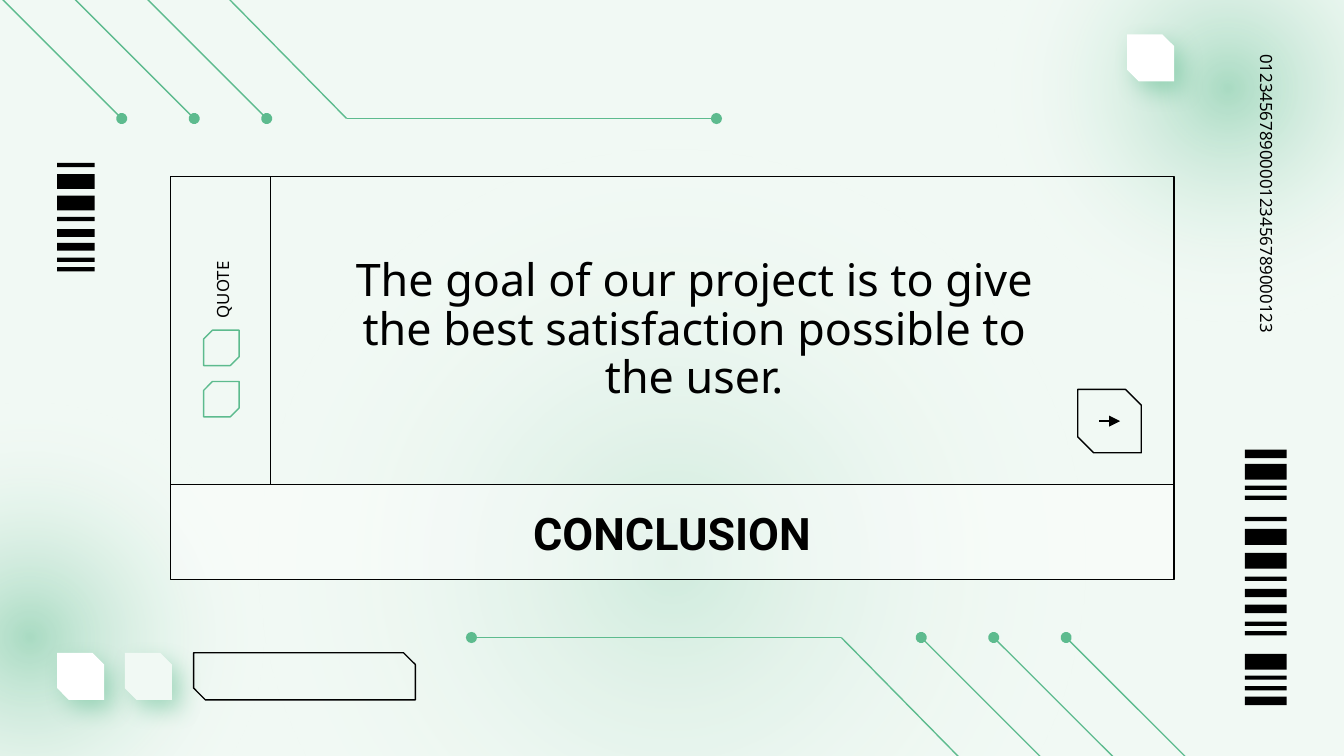
from lxml.etree import SubElement
from pptx import Presentation
from pptx.dml.color import RGBColor
from pptx.enum.shapes import MSO_CONNECTOR, MSO_SHAPE
from pptx.enum.text import MSO_ANCHOR, PP_ALIGN
from pptx.oxml import parse_xml
from pptx.oxml.ns import nsdecls, qn
from pptx.util import Cm, Pt

GREEN = RGBColor(0x5D, 0xBB, 0x8E)
MINT = RGBColor(0xF1, 0xF9, 0xF4)
WHITE = RGBColor(0xFF, 0xFF, 0xFF)
BLACK = RGBColor(0, 0, 0)

# All lengths below are in centimetres.
WIDTH, HEIGHT = 25.4, 14.29

# left, top, diameter, opacity of the centre in percent
GLOWS = [(4.85, 2.79, 15.7, 22), (18.77, -2.77, 8.84, 48), (-3.86, 7.62, 8.84, 48)]

# left, bar width, then (top, thickness) of each bar
BARCODES = [
    (23.53, 0.79, [
        (8.5, 0.16), (8.77, 0.3), (9.18, 0.08), (9.37, 0.08), (9.77, 0.08),
        (10, 0.3), (10.45, 0.3), (10.9, 0.08), (11.13, 0.16), (11.43, 0.16),
        (11.75, 0.08), (11.93, 0.08), (12.36, 0.3), (12.77, 0.08),
        (12.97, 0.08), (13.17, 0.16)]),
    (1.08, 0.71, [
        (3.08, 0.08), (3.29, 0.28), (3.7, 0.28), (4.1, 0.08),
        (4.33, 0.15), (4.59, 0.15), (4.87, 0.08), (5.05, 0.08)]),
]

# start, end, arrowhead; the lower circuit is this one given a half turn
CIRCUIT = [((4.17, -0.18), (6.55, 2.24), None), ((6.55, 2.24), (13.54, 2.24), "oval")]
CIRCUIT += [((x, -0.36), (x + 2.6, 2.24), "oval") for x in (-0.3, 1.07, 2.44)]
TURN_X, TURN_Y = 22.45, 14.29

TILE = 0.89
TILES = [(1.08, 12.34, WHITE), (2.36, 12.34, MINT), (21.3, 0.65, WHITE)]

FRAME_LEFT, FRAME_TOP, FRAME_WIDTH = 3.22, 3.34, 18.97
QUOTE_HEIGHT, TITLE_HEIGHT = 5.82, 1.8
TITLE_TOP = FRAME_TOP + QUOTE_HEIGHT
DIVIDER_X = 5.11

QUOTE = "The goal of our project is to give the best satisfaction possible to the user."
# text, place, font, size, bold, alignment, rotation, line spacing
TEXTS = [
    ("01234567890000123456789000123", (20.93, 3.38, 6.02, 0.56),
     "Noto Sans", 9, False, PP_ALIGN.CENTER, 90, 1.0),
    ("CONCLUSION", (6.03, TITLE_TOP, 13.34, TITLE_HEIGHT),
     "Roboto", 24, True, PP_ALIGN.CENTER, 0, 1.0),
    (QUOTE, (6.45, 3.94, 13.34, 4.62),
     "Noto Sans", 24, False, PP_ALIGN.CENTER, 0, 0.9),
    ("QUOTE", (3.38, 5.16, 1.65, 0.56),
     "Noto Sans", 9, False, PP_ALIGN.LEFT, 270, 1.0),
]

deck = Presentation()
deck.slide_width, deck.slide_height = Cm(WIDTH), Cm(HEIGHT)
page = deck.slides.add_slide(deck.slide_layouts[6])
page.background.fill.solid()
page.background.fill.fore_color.rgb = MINT


def add_shape(kind, left, top, width, height, fill=None, line=None):
    shape = page.shapes.add_shape(kind, Cm(left), Cm(top), Cm(width), Cm(height))
    shape.shadow.inherit = False
    if fill is None:
        shape.fill.background()
    else:
        shape.fill.solid()
        shape.fill.fore_color.rgb = fill
    if line is None:
        shape.line.fill.background()
    else:
        shape.line.color.rgb = line
        shape.line.width = Pt(0.75)
    return shape


def add_snipped(left, top, width, height, fill=None, line=None):
    shape = add_shape(MSO_SHAPE.SNIP_2_DIAG_RECTANGLE, left, top, width, height, fill, line)
    shape.adjustments[0], shape.adjustments[1] = 0, 0.25
    return shape


def add_line(start, end, color, head=None):
    line = page.shapes.add_connector(
        MSO_CONNECTOR.STRAIGHT, *(Cm(value) for value in (*start, *end)))
    line.line.color.rgb = color
    line.line.width = Pt(0.75)
    if head:
        SubElement(line.line._get_or_add_ln(), qn("a:tailEnd"), type=head)
    SubElement(line._element.spPr, qn("a:effectLst"))


def add_glow(left, top, size, opacity):
    """Circle that fades from green at the centre to clear at the rim."""
    circle = add_shape(MSO_SHAPE.OVAL, left, top, size, size)
    stops = "".join(
        f'<a:gs pos="{place * 1000}"><a:srgbClr val="{color}">'
        f'<a:alpha val="{alpha * 1000}"/></a:srgbClr></a:gs>'
        for place, color, alpha in [(0, GREEN, opacity), (71, WHITE, 0), (100, WHITE, 0)])
    gradient = parse_xml(
        f'<a:gradFill {nsdecls("a")}><a:gsLst>{stops}</a:gsLst><a:path path="circle">'
        '<a:fillToRect l="50000" t="50000" r="50000" b="50000"/></a:path></a:gradFill>')
    properties = circle._element.spPr
    properties.replace(properties.find(qn("a:noFill")), gradient)


def add_shadow(shape):
    effects = shape._element.spPr.find(qn("a:effectLst"))
    shadow = SubElement(
        effects, qn("a:outerShdw"), blurRad=str(Pt(12.4)), dist=str(Pt(6.8)),
        dir=str(49 * 60000), algn="bl", rotWithShape="0")
    color = SubElement(shadow, qn("a:srgbClr"), val=str(GREEN))
    SubElement(color, qn("a:alpha"), val="47000")


def add_text(text, place, font, size, bold, align, rotation, spacing):
    box = page.shapes.add_textbox(*(Cm(value) for value in place))
    box.rotation = rotation
    frame = box.text_frame
    frame.word_wrap = True
    frame.vertical_anchor = MSO_ANCHOR.MIDDLE
    frame.margin_left = frame.margin_right = Cm(0.25)
    frame.margin_top = frame.margin_bottom = Cm(0.25)
    frame.text = text
    para = frame.paragraphs[0]
    para.alignment = align
    para.line_spacing = spacing
    span = para.runs[0]
    span.font.name, span.font.size, span.font.bold = font, Pt(size), bold
    span.font.color.rgb = BLACK


for glow in GLOWS:
    add_glow(*glow)

for left, width, bars in BARCODES:
    for top, thickness in bars:
        add_shape(MSO_SHAPE.RECTANGLE, left, top, width, thickness, BLACK)

for start, end, head in CIRCUIT:
    add_line(start, end, GREEN, head)
    turned = [(TURN_X - x, TURN_Y - y) for x, y in (start, end)]
    add_line(*turned, GREEN, head)

for left, top, fill in TILES:
    add_shadow(add_snipped(left, top, TILE, TILE, fill))
add_snipped(3.66, 12.34, 4.19, TILE, line=BLACK)

title_bar = add_shape(
    MSO_SHAPE.RECTANGLE, FRAME_LEFT, TITLE_TOP, FRAME_WIDTH, TITLE_HEIGHT, WHITE, BLACK)
bar_color = title_bar._element.spPr.find(qn("a:solidFill"))[0]
SubElement(bar_color, qn("a:alpha"), val="44000")
add_shape(MSO_SHAPE.RECTANGLE, FRAME_LEFT, FRAME_TOP, FRAME_WIDTH, QUOTE_HEIGHT, line=BLACK)

for entry in TEXTS:
    add_text(*entry)

for top in (6.24, 7.21):
    add_snipped(3.85, top, 0.67, 0.67, line=GREEN).rotation = 270

add_line((DIVIDER_X, FRAME_TOP), (DIVIDER_X, TITLE_TOP), BLACK)
add_snipped(20.37, 7.36, 1.2, 1.2, line=BLACK)
add_line((20.77, 7.96), (21.17, 7.96), BLACK, "triangle")

deck.save("out.pptx")
